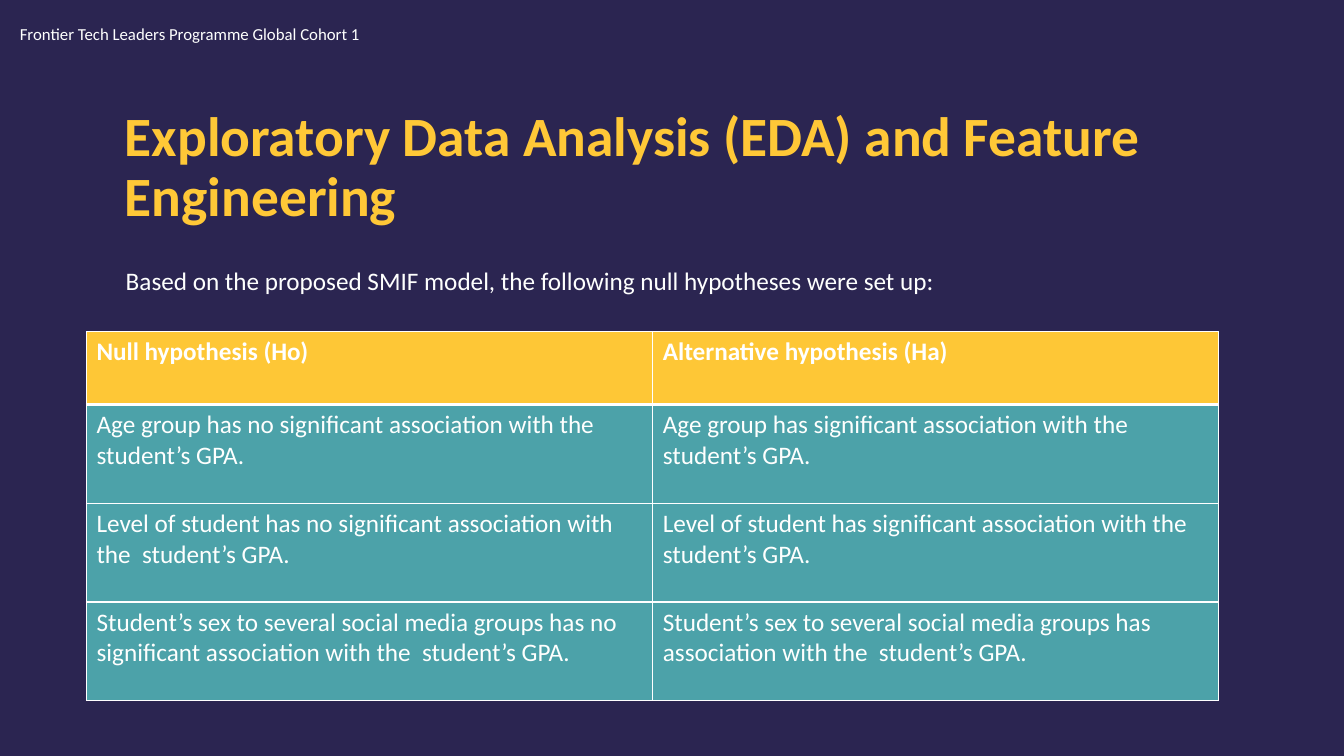
from dataclasses import dataclass

from lxml.etree import SubElement
from pptx import Presentation
from pptx.dml.color import RGBColor
from pptx.enum.text import MSO_ANCHOR
from pptx.oxml.ns import qn
from pptx.util import Cm, Pt

COLORS = {
    "background": "2B2551",
    "title": "FFC837",
    "text": "FEFFFE",
    "header": "FEC736",
    "body": "4CA2A9",
    "border": "FFFFFF",
}


@dataclass(frozen=True)
class TextBlock:
    """A text box with its place in centimetres and its format."""

    text: str
    left: float
    top: float
    width: float
    height: float
    size: float
    color: str = "text"
    bold: bool = False
    line_spacing: float = 1.0
    margin_top: float = 0.13
    anchor: MSO_ANCHOR = MSO_ANCHOR.TOP


@dataclass(frozen=True)
class Hypothesis:
    """A pair of statements that fills one table row."""

    null: str
    alternative: str


BLOCKS = [
    TextBlock("Exploratory Data Analysis (EDA) and Feature Engineering",
              2.9, 2.95, 28.09, 2.57, 39.6, color="title", bold=True,
              line_spacing=0.9, anchor=MSO_ANCHOR.MIDDLE),
    TextBlock("Based on the proposed SMIF model, the following null hypotheses were set up:",
              2.92, 5.59, 28.04, 11.58, 18, line_spacing=0.9, margin_top=1.18),
    TextBlock("Frontier Tech Leaders Programme Global Cohort 1",
              0.25, 0.48, 14.07, 0.76, 12),
]

HYPOTHESES = [
    Hypothesis("Null hypothesis (Ho)", "Alternative hypothesis (Ha)"),
    Hypothesis("Age group has no significant association with the student’s GPA.",
               "Age group has significant association with the student’s GPA."),
    Hypothesis("Level of student has no significant association with the  student’s GPA.",
               "Level of student has significant association with the student’s GPA."),
    Hypothesis("Student’s sex to several social media groups has no significant "
               "association with the  student’s GPA.",
               "Student’s sex to several social media groups has association "
               "with the  student’s GPA."),
]

TABLE_LEFT, TABLE_TOP = 2.18, 8.36
COLUMN_WIDTHS = [14.27, 14.25]
HEADER_HEIGHT, ROW_HEIGHT = 1.83, 2.49


def rgb(name: str) -> RGBColor:
    """Return the named colour."""
    return RGBColor.from_string(COLORS[name])


def write_text(frame, text: str, *, size: float, color: str = "text",
               bold: bool = False, line_spacing: float = 1.0) -> None:
    """Write one formatted paragraph into a text frame."""
    para = frame.paragraphs[0]
    para.line_spacing = line_spacing
    span = para.add_run()
    span.text = text
    span.font.name = "Calibri"
    span.font.size = Pt(size)
    span.font.bold = bold
    span.font.color.rgb = rgb(color)


def draw_block(page, block: TextBlock) -> None:
    """Draw a text block on the page."""
    box = page.shapes.add_textbox(Cm(block.left), Cm(block.top),
                                  Cm(block.width), Cm(block.height))
    frame = box.text_frame
    frame.word_wrap = True
    frame.vertical_anchor = block.anchor
    frame.margin_top = Cm(block.margin_top)
    write_text(frame, block.text, size=block.size, color=block.color,
               bold=block.bold, line_spacing=block.line_spacing)


def add_border(cell, side: str, width: float) -> None:
    """Add a solid border to one side of a cell."""
    properties = cell._tc.get_or_add_tcPr()
    line = SubElement(properties, qn(f"a:{side}"), w=str(Pt(width)))
    fill = SubElement(line, qn("a:solidFill"))
    SubElement(fill, qn("a:srgbClr"), val=COLORS["border"])


def draw_cell(cell, text: str, row: int) -> None:
    """Draw a cell with its text, borders and fill."""
    is_header = row == 0
    write_text(cell.text_frame, text, size=18, bold=is_header,
               color="border" if is_header else "text")
    for side in ("lnL", "lnR", "lnT", "lnB"):
        thick = (side == "lnB" and row == 0) or (side == "lnT" and row == 1)
        add_border(cell, side, 3 if thick else 1)
    cell.fill.solid()
    cell.fill.fore_color.rgb = rgb("header" if is_header else "body")


def draw_table(page, hypotheses: list[Hypothesis]) -> None:
    """Draw the table of hypotheses."""
    heights = [HEADER_HEIGHT] + [ROW_HEIGHT] * (len(hypotheses) - 1)
    table = page.shapes.add_table(
        len(heights), len(COLUMN_WIDTHS), Cm(TABLE_LEFT), Cm(TABLE_TOP),
        Cm(sum(COLUMN_WIDTHS)), Cm(sum(heights))).table
    for column, width in zip(table.columns, COLUMN_WIDTHS):
        column.width = Cm(width)
    for row, (hypothesis, height) in enumerate(zip(hypotheses, heights)):
        table.rows[row].height = Cm(height)
        for column, text in enumerate((hypothesis.null, hypothesis.alternative)):
            draw_cell(table.cell(row, column), text, row)


def main() -> None:
    """Build the slide and save the deck."""
    deck = Presentation()
    deck.slide_width, deck.slide_height = Cm(33.87), Cm(19.05)
    page = deck.slides.add_slide(deck.slide_layouts[6])
    page.background.fill.solid()
    page.background.fill.fore_color.rgb = rgb("background")
    for block in BLOCKS:
        draw_block(page, block)
    draw_table(page, HYPOTHESES)
    deck.save("out.pptx")


if __name__ == "__main__":
    main()
